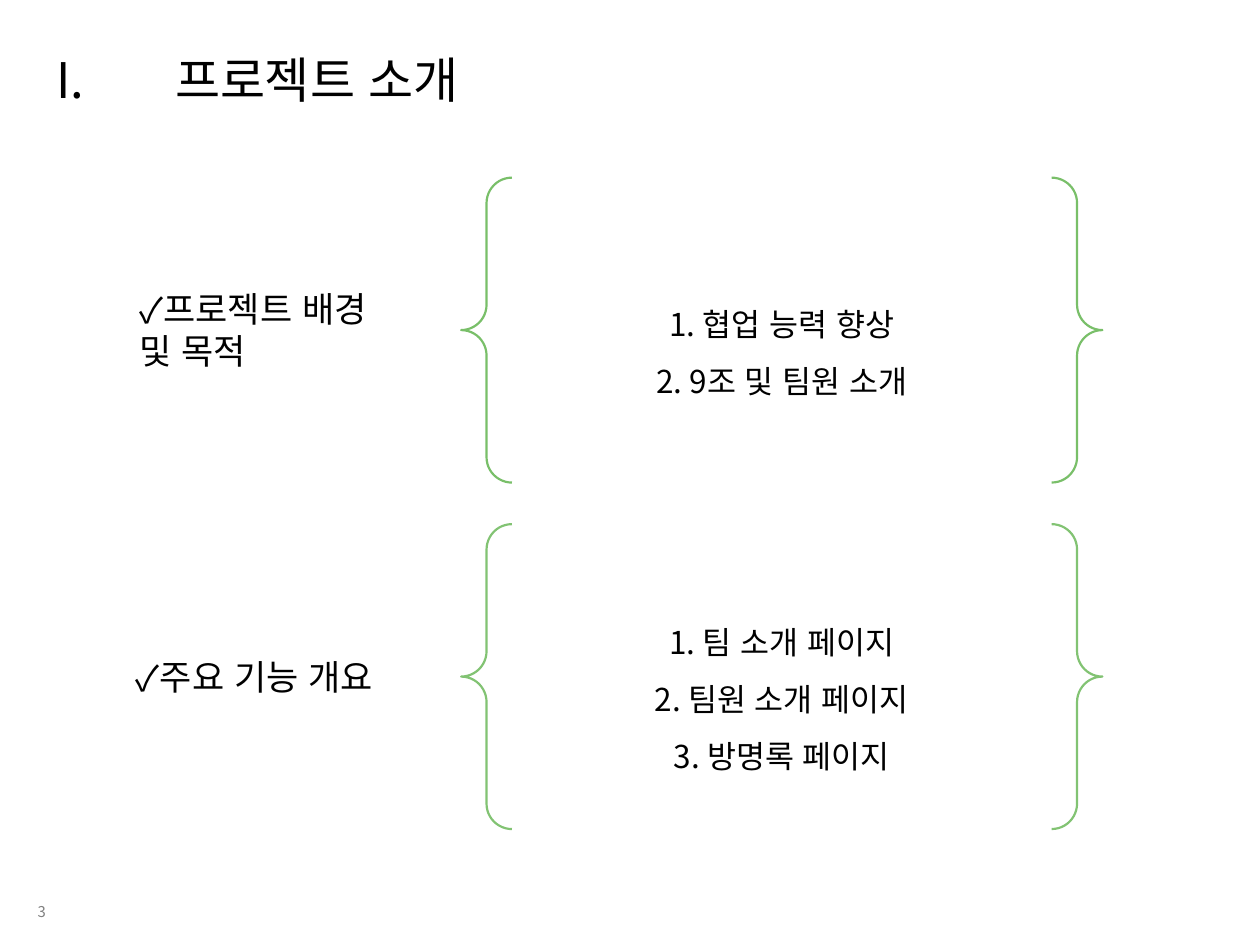
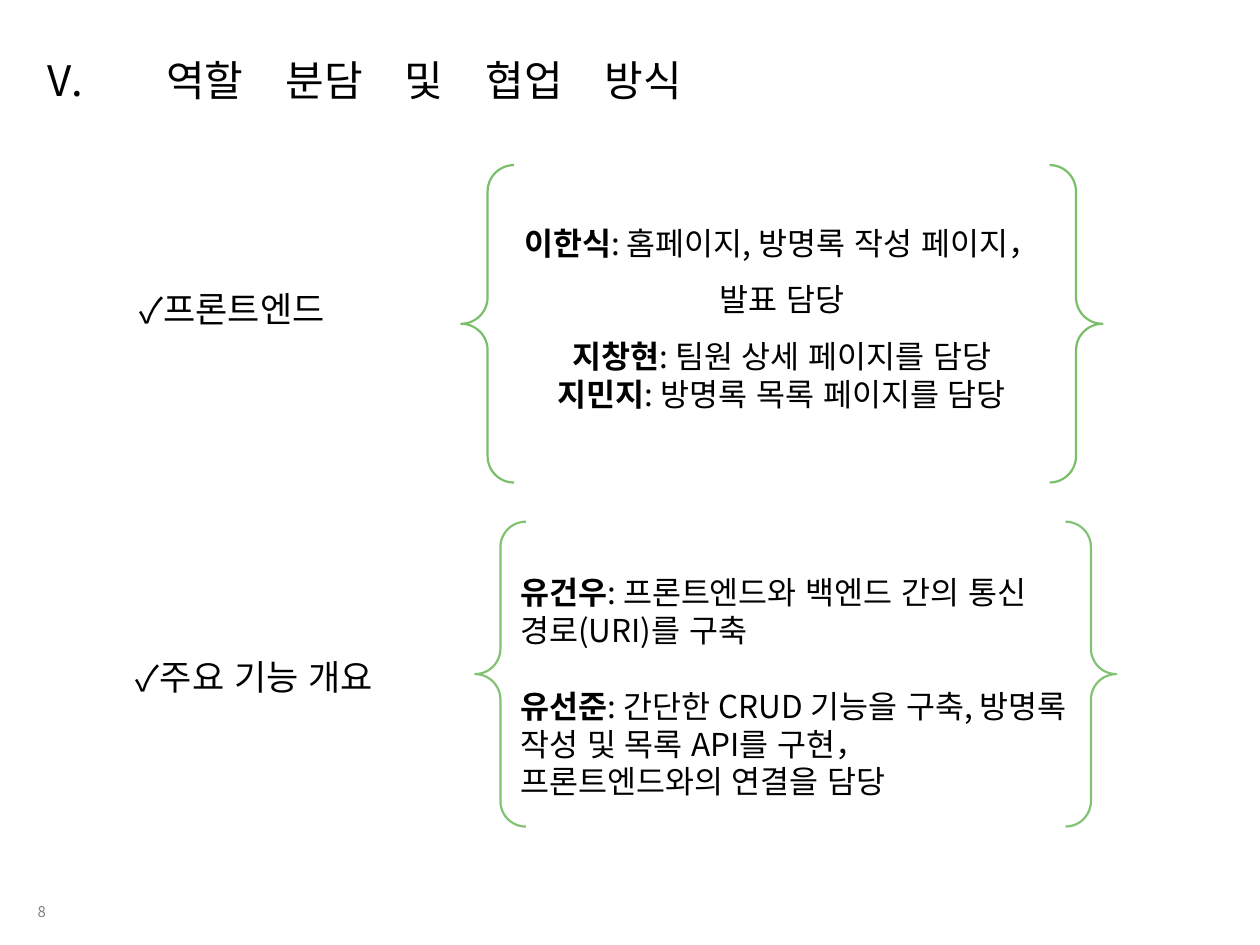
from dataclasses import dataclass

from lxml import etree
from pptx import Presentation
from pptx import util as u
from pptx.dml.color import RGBColor
from pptx.enum import lang, shapes, text
from pptx.oxml.ns import qn

FONT = "Noto Sans CJK KR"
COLORS = {"ink": "000000", "number": "808080", "upper": "79BF69", "lower": "82C373"}
COLUMNS, ROWS = 100, 75
WIDTH, HEIGHT = u.Inches(10), u.Inches(7.5)
TITLE_INDENT = u.Inches(0.94)
CENTER, LEFT = text.PP_ALIGN.CENTER, text.PP_ALIGN.LEFT
MIDDLE, TOP = text.MSO_ANCHOR.MIDDLE, text.MSO_ANCHOR.TOP


@dataclass(frozen=True)
class Area:
    column: float
    row: float
    columns: float
    rows: float

    def box(self) -> tuple[int, int, int, int]:
        across, down = WIDTH / COLUMNS, HEIGHT / ROWS
        return (round(self.column * across), round(self.row * down),
                round(self.columns * across), round(self.rows * down))


@dataclass(frozen=True)
class Line:
    body: str
    name: str = ""
    spacing: float = 1.5
    before: float = 0


@dataclass(frozen=True)
class Topic:
    label: str
    label_area: Area
    brace_area: Area
    color: str
    lines: list[Line]
    align: text.PP_ALIGN = CENTER
    bottom_inset: float = 0.05


@dataclass(frozen=True)
class Page:
    number: int
    title: str
    title_size: float
    title_area: Area
    chapter: int
    topics: list[Topic]


NUMBER_AREA = Area(2, 71, 21.1, 2.7)
UPPER_LABEL = Area(10.1, 22.3, 22.8, 4.4)
LOWER_LABEL = Area(9.8, 51.5, 22.8, 4.4)

PAGES = [
    Page(3, "프로젝트 소개", 28, Area(-0.1, 0, 41.1, 12.5), 1, [
        Topic("프로젝트 배경 및 목적", UPPER_LABEL, Area(36.6, 14.1, 50.9, 24.2), "upper",
              [Line("1. 협업 능력 향상"), Line("2. 9조 및 팀원 소개")]),
        Topic("주요 기능 개요", LOWER_LABEL, Area(36.6, 41.6, 50.9, 24.2), "lower",
              [Line("1. 팀 소개 페이지"), Line("2. 팀원 소개 페이지"),
               Line("3. 방명록 페이지")]),
    ]),
    Page(8, "역할　분담　및　협업　방식", 24, Area(0, 0.1, 57.9, 12.5), 5, [
        Topic("프론트엔드", UPPER_LABEL, Area(36.6, 13.1, 50.9, 25.2), "upper",
              [Line(": 홈페이지, 방명록 작성 페이지，발표 담당", "이한식"),
               Line(": 팀원 상세 페이지를 담당", "지창현"),
               Line(": 방명록 목록 페이지를 담당", "지민지", 1)],
              bottom_inset=0.5),
        Topic("주요 기능 개요", LOWER_LABEL, Area(37.7, 41.4, 50.9, 24.2), "lower",
              [Line(": 프론트엔드와 백엔드 간의 통신 경로(URI)를 구축", "유건우", 1),
               Line(": 간단한 CRUD 기능을 구축, 방명록 작성 및 목록 API를 구현， "
                    "프론트엔드와의 연결을 담당", "유선준", 1, 21.6)],
              LEFT),
    ]),
]


def add_run(paragraph, content: str, size: float, color: str, bold: bool) -> None:
    run = paragraph.add_run()
    run.text = content
    font = run.font
    font.name, font.size, font.bold = FONT, u.Pt(size), bold
    font.language_id = lang.MSO_LANGUAGE_ID.KOREAN
    font.color.rgb = RGBColor.from_string(COLORS[color])
    etree.SubElement(font._element, qn("a:ea"), typeface=FONT)


def write(frame, lines: list[Line], *, size: float, color: str = "ink",
          align: text.PP_ALIGN = LEFT, anchor: text.MSO_ANCHOR = MIDDLE) -> None:
    frame.word_wrap = True
    frame.vertical_anchor = anchor
    for index, line in enumerate(lines):
        paragraph = frame.paragraphs[0] if index == 0 else frame.add_paragraph()
        paragraph.alignment = align
        paragraph.line_spacing = line.spacing
        paragraph.space_before = u.Pt(line.before)
        if line.name:
            add_run(paragraph, line.name, size, color, True)
        add_run(paragraph, line.body, size, color, False)


def add_text(slide, content: str, area: Area, **style):
    frame = slide.shapes.add_textbox(*area.box()).text_frame
    write(frame, [Line(content, spacing=1)], **style)
    return frame.paragraphs[0]


def add_bullet(paragraph, tag: str, indent: int = 0, **attributes: str) -> None:
    properties = paragraph._p.get_or_add_pPr()
    properties.set("marL", str(indent))
    properties.set("indent", str(-indent))
    etree.SubElement(properties, qn("a:buFont"), typeface=FONT)
    etree.SubElement(properties, qn(tag), **attributes)


def add_topic(slide, topic: Topic) -> None:
    brace = slide.shapes.add_shape(shapes.MSO_SHAPE.DOUBLE_BRACE, *topic.brace_area.box())
    brace.shadow.inherit = False
    brace.fill.background()
    brace.line.color.rgb = RGBColor.from_string(COLORS[topic.color])
    brace.line.width = u.Pt(1.25)
    brace.text_frame.margin_bottom = u.Inches(topic.bottom_inset)
    write(brace.text_frame, topic.lines, size=18, align=topic.align)
    label = add_text(slide, topic.label, topic.label_area, size=20, anchor=TOP)
    add_bullet(label, "a:buChar", char="✓")


def add_page(presentation, page: Page) -> None:
    slide = presentation.slides.add_slide(presentation.slide_layouts[6])
    add_text(slide, str(page.number), NUMBER_AREA, size=8.5, color="number")
    title = add_text(slide, page.title, page.title_area, size=page.title_size, align=CENTER)
    add_bullet(title, "a:buAutoNum", TITLE_INDENT, type="romanUcPeriod",
               startAt=str(page.chapter))
    for topic in page.topics:
        add_topic(slide, topic)


def main() -> None:
    presentation = Presentation()
    presentation.slide_width, presentation.slide_height = WIDTH, HEIGHT
    for page in PAGES:
        add_page(presentation, page)
    presentation.save("out.pptx")


if __name__ == "__main__":
    main()
